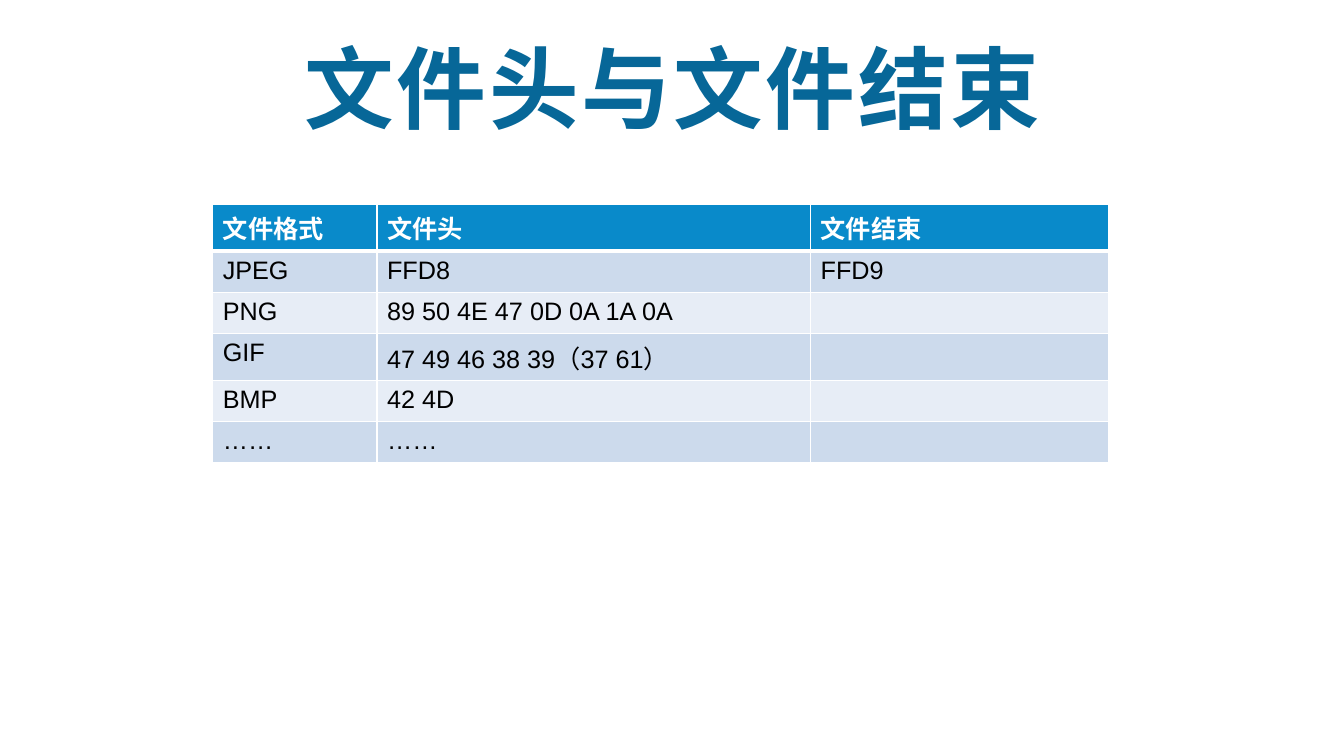
"""Build the slide on file headers and file endings."""
from lxml import etree
from pptx import Presentation
from pptx import util as u
from pptx.dml.color import RGBColor
from pptx.enum import text
from pptx.oxml import ns

HUES = {"title": "076798", "head": "098ACA", "odd": "CCDAEC",
        "even": "E7EDF6", "white": "FFFFFF", "black": "000000"}
ROWS = [
    ("文件格式", "文件头", "文件结束"),
    ("JPEG", "FFD8", "FFD9"),
    ("PNG", "89 50 4E 47 0D 0A 1A 0A", ""),
    ("GIF", "47 49 46 38 39（37 61）", ""),
    ("BMP", "42 4D", ""),
    ("……", "……", ""),
]
COLS = [1.63, 4.3, 2.96]
HIGH = 0.41


def write(para, words, size, hue, bold):
    """Add one styled run to a paragraph."""
    run = para.add_run()
    run.text = words
    font = run.font
    font.name, font.size, font.bold = "Arial", u.Pt(size), bold
    font.color.rgb = RGBColor.from_string(HUES[hue])
    return run


def edge(cell, side, width):
    """Draw a white border on one side of a cell."""
    line = etree.SubElement(cell._tc.get_or_add_tcPr(), ns.qn(f"a:ln{side}"),
                            w=str(u.Pt(width)))
    fill = etree.SubElement(line, ns.qn("a:solidFill"))
    etree.SubElement(fill, ns.qn("a:srgbClr"), val=HUES["white"])


deck = Presentation()
deck.slide_width, deck.slide_height = u.Inches(13.33), u.Inches(7.5)
slide = deck.slides.add_slide(deck.slide_layouts[5])

title = slide.shapes.title
title.left, title.top = u.Inches(0.67), u.Inches(0.3)
title.width, title.height = u.Inches(12), u.Inches(1.25)
frame = title.text_frame
frame.word_wrap = True
frame.auto_size = text.MSO_AUTO_SIZE.NONE
frame.vertical_anchor = text.MSO_ANCHOR.MIDDLE
frame.margin_left = frame.margin_right = u.Inches(0.13)
frame.margin_top = frame.margin_bottom = u.Inches(0.07)
para = frame.paragraphs[0]
para.alignment = text.PP_ALIGN.CENTER
para.line_spacing = 0.9
run = write(para, "文件头与文件结束", 64, "title", True)
run.font._element.set("spc", "200")

table = slide.shapes.add_table(
    len(ROWS), len(COLS), u.Inches(2.11), u.Inches(2.03),
    u.Inches(sum(COLS)), u.Inches(HIGH * len(ROWS))).table
for col, wide in zip(table.columns, COLS):
    col.width = u.Inches(wide)
for r, row in enumerate(ROWS):
    table.rows[r].height = u.Inches(HIGH)
    shade = "head" if r == 0 else "odd" if r % 2 else "even"
    for c, words in enumerate(row):
        cell = table.cell(r, c)
        for side in "LRTB":
            thick = (r, side) in ((0, "B"), (1, "T"))
            edge(cell, side, 3 if thick else 1)
        cell.fill.solid()
        cell.fill.fore_color.rgb = RGBColor.from_string(HUES[shade])
        para = cell.text_frame.paragraphs[0]
        if words:
            write(para, words, 18, "black" if r else "white", r == 0)
        else:
            para.font.size = u.Pt(18)

deck.save("out.pptx")
